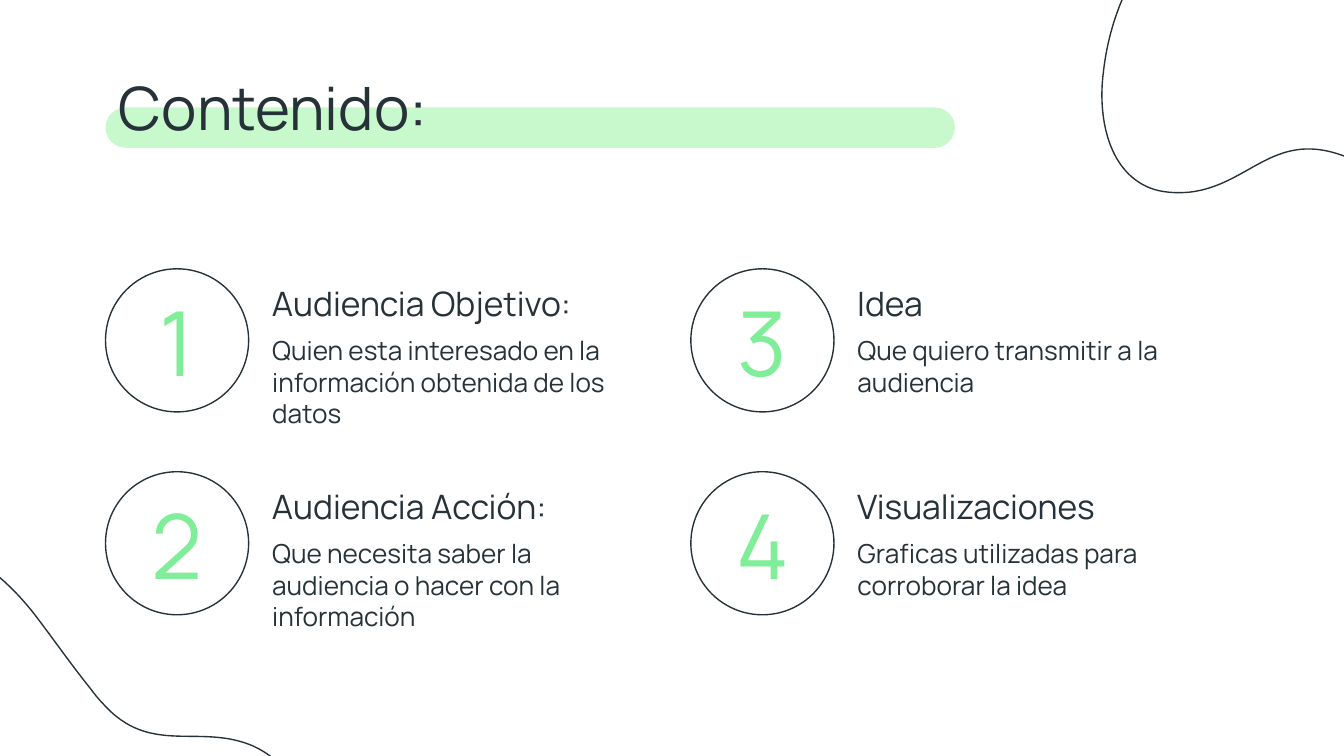
from pptx import Presentation
from pptx import util as u
from pptx.dml import color
from pptx.enum import shapes, text
from pptx.oxml import ns, xmlchemy

SCALE = 4572
FONT = "Manrope"
INK, GREEN, MINT = "263238", "80ED99", "C7F9CC"
ITEMS = [
    ("Audiencia Objetivo:", "Quien esta interesado en la información obtenida de los datos"),
    ("Audiencia Acción:", "Que necesita saber la audiencia o hacer con la información"),
    ("Idea", "Que quiero transmitir a la audiencia"),
    ("Visualizaciones", "Graficas utilizadas para corroborar la idea"),
]
TOP_BLOB = [
    (1712, 280), (1728, 286), (1748, 288), (1770, 286), (1858, 276), (1894, 196), (1994, 230),
    (2004, 234), (2014, 236), (2024, 240), (2070, 258), (2112, 280), (2154, 296),
    (2206, 316), (2258, 328), (2324, 318), (2438, 304), (2486, 236), (2500, 142),
    (2528, -22), (2424, -142), (2274, -200), (2210, -224), (2138, -236), (2064, -236),
    (1828, -236), (1664, -92), (1642, 108), (1634, 168), (1646, 254), (1712, 280),
]
BOTTOM_BLOB = [
    (424, 1146), (412, 1132), (398, 1120), (376, 1110), (296, 1076), (224, 1126), (154, 1048),
    (146, 1040), (140, 1032), (134, 1024), (102, 984), (76, 946), (48, 910),
    (14, 868), (-26, 832), (-88, 806), (-194, 762), (-268, 798), (-330, 872),
    (-434, 1000), (-404, 1156), (-304, 1280), (-260, 1334), (-204, 1380), (-140, 1418),
    (64, 1534), (278, 1492), (398, 1330), (434, 1282), (468, 1200), (424, 1146),
]


def px(value):
    """Turn px into EMU."""
    return u.Emu(round(value * SCALE))


def rgb(value):
    """Turn a hex string into a colour."""
    return color.RGBColor.from_string(value)


def place(shape, box):
    """Move a shape to a box of left, top, width and height."""
    shape.left, shape.top, shape.width, shape.height = map(px, box)


def outline(shape):
    """Leave only a thin dark line on a shape."""
    shape.shadow.inherit = False
    shape.fill.background()
    shape.line.color.rgb = rgb(INK)
    shape.line.width = u.Pt(0.75)


def write(shape, box, words, size, ink=INK, align=text.PP_ALIGN.LEFT, anchor=text.MSO_ANCHOR.TOP):
    """Place a text holder and fill it with one plain paragraph."""
    place(shape, box)
    frame = shape.text_frame
    frame.text = words
    frame.word_wrap = True
    frame.auto_size = text.MSO_AUTO_SIZE.NONE
    frame.vertical_anchor = anchor
    frame.margin_left = frame.margin_right = frame.margin_top = frame.margin_bottom = px(20)
    para = frame.paragraphs[0]
    para.alignment = align
    para.space_before = u.Pt(0)
    para.font.name, para.font.size, para.font.bold = FONT, u.Pt(size), False
    para.font.color.rgb = rgb(ink)
    return para


def remove_bullet(para):
    """Take bullet and indent off a paragraph."""
    props = para._p.get_or_add_pPr()
    props.set("marL", "0")
    props.set("indent", "0")
    bullet = xmlchemy.OxmlElement("a:buNone")
    props.insert_element_before(bullet, "a:tabLst", "a:defRPr", "a:extLst")


def add_blob(page, knots):
    """Draw a closed outline whose knots form a chain of cubic curves."""
    builder = page.shapes.build_freeform(*map(px, knots[0]), scale=1.0)
    builder.add_line_segments([(px(x), px(y)) for x, y in knots[1:]], close=True)
    blob = builder.convert_to_shape()
    outline(blob)
    lines = list(blob._element.iter(ns.qn("a:lnTo")))
    for index in range(0, len(lines), 3):
        curve = xmlchemy.OxmlElement("a:cubicBezTo")
        lines[index].addprevious(curve)
        for line in lines[index:index + 3]:
            curve.append(line[0])
            line.getparent().remove(line)


def add_heading(page, box):
    """Set the title over its highlight bar."""
    left, top, width, height = box
    title = page.shapes.title
    write(title, box, "Contenido:", 32)
    bar = page.shapes.add_shape(shapes.MSO_SHAPE.ROUNDED_RECTANGLE, 0, 0, 0, 0)
    place(bar, (left, top + height - 59, 1264, 60))
    bar.adjustments[0] = 0.5
    bar.shadow.inherit = False
    bar.fill.solid()
    bar.fill.fore_color.rgb = rgb(MINT)
    bar.line.fill.background()
    title._element.addprevious(bar._element)


def add_item(page, box, number, heading, detail, body):
    """Set a circled number with its heading and description."""
    left, top, width, height = box
    circle = page.shapes.add_shape(shapes.MSO_SHAPE.OVAL, 0, 0, 0, 0)
    place(circle, (left, top, 213, 213))
    outline(circle)
    digit = page.shapes.add_textbox(0, 0, 0, 0)
    write(digit, (left + 10, top + 30, 194, 154), str(number), 48, GREEN,
          text.PP_ALIGN.CENTER, text.MSO_ANCHOR.MIDDLE)
    label = page.shapes.add_textbox(0, 0, 0, 0)
    write(label, (left + 228, top + 1, width - 228, 82), heading, 18)
    para = write(body, (left + 228, top + 78, width - 228, height - 78), detail, 14)
    remove_bullet(para)


def main():
    """Build the contents slide."""
    deck = Presentation()
    deck.slide_width, deck.slide_height = px(2000), px(1125)
    page = deck.slides.add_slide(deck.slide_layouts.get_by_name("Comparison"))
    page.background.fill.solid()
    page.background.fill.fore_color.rgb = rgb("FFFFFF")
    for knots in (TOP_BLOB, BOTTOM_BLOB):
        add_blob(page, knots)
    add_heading(page, (157, 85, 1686, 134))
    bodies = [holder for holder in page.placeholders if holder.placeholder_format.idx in (1, 2, 3, 4)]
    for index, ((heading, detail), body) in enumerate(zip(ITEMS, bodies)):
        column, row = divmod(index, 2)
        box = (157 + 871 * column, 400 + 302 * row, 814, 212 if index else 242)
        add_item(page, box, index + 1, heading, detail, body)
    deck.save("out.pptx")


if __name__ == "__main__":
    main()
